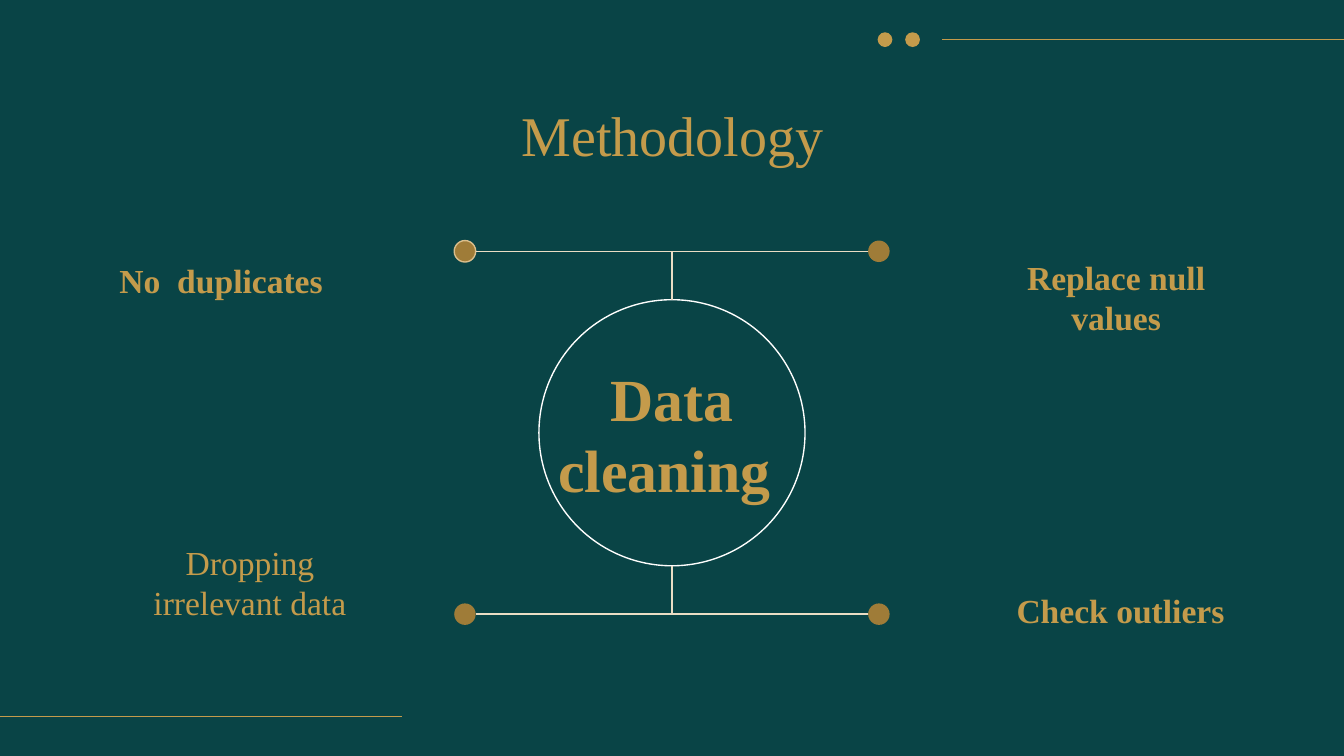
import lxml.etree
import pptx
import pptx.dml.color
import pptx.enum.shapes
import pptx.enum.text
import pptx.oxml.ns
import pptx.util

CELL = pptx.util.Inches(0.1)
COLUMNS, ROWS = 100, 56.25
GOLD, BRONZE, SAND, CREAM, WHITE, TEAL = (
    "C49B4B", "9F7C38", "D9BE8C", "EADDC4", "FEFEFD", "094446")
HUB_COLUMN, HUB_ROW, HUB_RADIUS = 50, 32.2, 9.9
ARM_COLUMNS, ARM_ROWS, DOT_RADIUS = 15.4, 13.5, 0.8
ALIGN = pptx.enum.text.PP_ALIGN
ANCHOR = pptx.enum.text.MSO_ANCHOR
CONNECTOR = pptx.enum.shapes.MSO_CONNECTOR


def grid(*cells):
    return [round(cell * CELL) for cell in cells]


def paint(colour_format, hex_colour):
    colour_format.rgb = pptx.dml.color.RGBColor.from_string(hex_colour)


def apply(target, formats):
    for name, value in formats.items():
        setattr(target, name, value)


def draw_line(line, colour):
    line.width = pptx.util.Pt(0.75)
    line.fill.solid()
    paint(line.fill.fore_color, colour)


def add_circle(slide, column, row, radius, fill=None, outline=None):
    circle = slide.shapes.add_shape(
        pptx.enum.shapes.MSO_SHAPE.OVAL,
        *grid(column - radius, row - radius, 2 * radius, 2 * radius))
    circle.shadow.inherit = False
    if fill:
        circle.fill.solid()
        paint(circle.fill.fore_color, fill)
    else:
        circle.fill.background()
    if outline:
        draw_line(circle.line, outline)
    else:
        circle.line.fill.background()
    return circle


def add_connector(slide, ends, colour, kind=CONNECTOR.STRAIGHT):
    connector = slide.shapes.add_connector(kind, *grid(*ends))
    draw_line(connector.line, colour)
    lxml.etree.SubElement(connector._element.spPr, pptx.oxml.ns.qn("a:effectLst"))
    return connector


def add_arm(slide, dot, hub, side, level):
    row = HUB_ROW + level * ARM_ROWS
    ends = (HUB_COLUMN + side * (ARM_COLUMNS - DOT_RADIUS), row,
            HUB_COLUMN, HUB_ROW + level * HUB_RADIUS)
    arm = add_connector(slide, ends, CREAM, CONNECTOR.ELBOW)
    arm._element.spPr.prstGeom.set("prst", "bentConnector2")
    joints = arm._element.nvCxnSpPr.cNvCxnSpPr
    for tag, joined, site in (("a:stCxn", dot, 4 + -2 * side),
                              ("a:endCxn", hub, 2 + 2 * level)):
        lxml.etree.SubElement(joints, pptx.oxml.ns.qn(tag),
                              id=str(joined.shape_id), idx=str(site))


def add_text(slide, words, place, size, bold=True, inset=1, paragraph_formats=None,
             anchor=ANCHOR.TOP):
    frame = slide.shapes.add_textbox(*grid(*place)).text_frame
    side, edge = grid(1, inset)
    apply(frame, {"word_wrap": True, "vertical_anchor": anchor,
                  "margin_left": side, "margin_right": side,
                  "margin_top": edge, "margin_bottom": edge})
    paragraph = frame.paragraphs[0]
    apply(paragraph, paragraph_formats or {"alignment": ALIGN.CENTER})
    run = paragraph.add_run()
    run.text = words
    apply(run.font, {"name": "Times New Roman", "size": pptx.util.Pt(size), "bold": bold})
    paint(run.font.color, GOLD)


def add_decoration(slide):
    add_connector(slide, (70.1, 2.95, COLUMNS, 2.95), GOLD)
    add_connector(slide, (0, 53.3, 29.9, 53.3), GOLD)
    for column in (65.85, 67.9):
        add_circle(slide, column, 2.95, 0.55, GOLD)


def add_diagram(slide):
    hub = add_circle(slide, HUB_COLUMN, HUB_ROW, HUB_RADIUS, outline=WHITE)
    for side in (-1, 1):
        for level in (-1, 1):
            outline = SAND if (side, level) == (-1, -1) else None
            dot = add_circle(slide, HUB_COLUMN + side * ARM_COLUMNS,
                             HUB_ROW + level * ARM_ROWS, DOT_RADIUS, BRONZE, outline)
            add_arm(slide, dot, hub, side, level)


def add_wording(slide):
    add_text(slide, "Methodology", (7.9, 6.5, 84.3, 6.3), 30, bold=False)
    add_text(slide, "No  duplicates", (7.9, 17.9, 19.8, 8.2), 18,
             paragraph_formats={"alignment": ALIGN.LEFT, "line_spacing": 1.15,
                                "space_after": pptx.util.Pt(12)})
    add_text(slide, "Replace null values", (72.3, 18.7, 21.5, 7.4), 18,
             anchor=ANCHOR.BOTTOM)
    add_text(slide, "Dropping irrelevant data", (7.9, 39.3, 21.4, 9.3), 18, bold=False)
    add_text(slide, "Check outliers", (72.3, 42.9, 19.8, 5.8), 18,
             paragraph_formats={"alignment": ALIGN.RIGHT})
    add_text(slide, "Data cleaning ", (40.1, 26.4, 19.8, 11.8), 32, inset=0.5)


def main():
    deck = pptx.Presentation()
    deck.slide_width, deck.slide_height = grid(COLUMNS, ROWS)
    slide = deck.slides.add_slide(deck.slide_layouts[6])
    slide.background.fill.solid()
    paint(slide.background.fill.fore_color, TEAL)
    add_decoration(slide)
    add_diagram(slide)
    add_wording(slide)
    deck.save("out.pptx")


if __name__ == "__main__":
    main()
